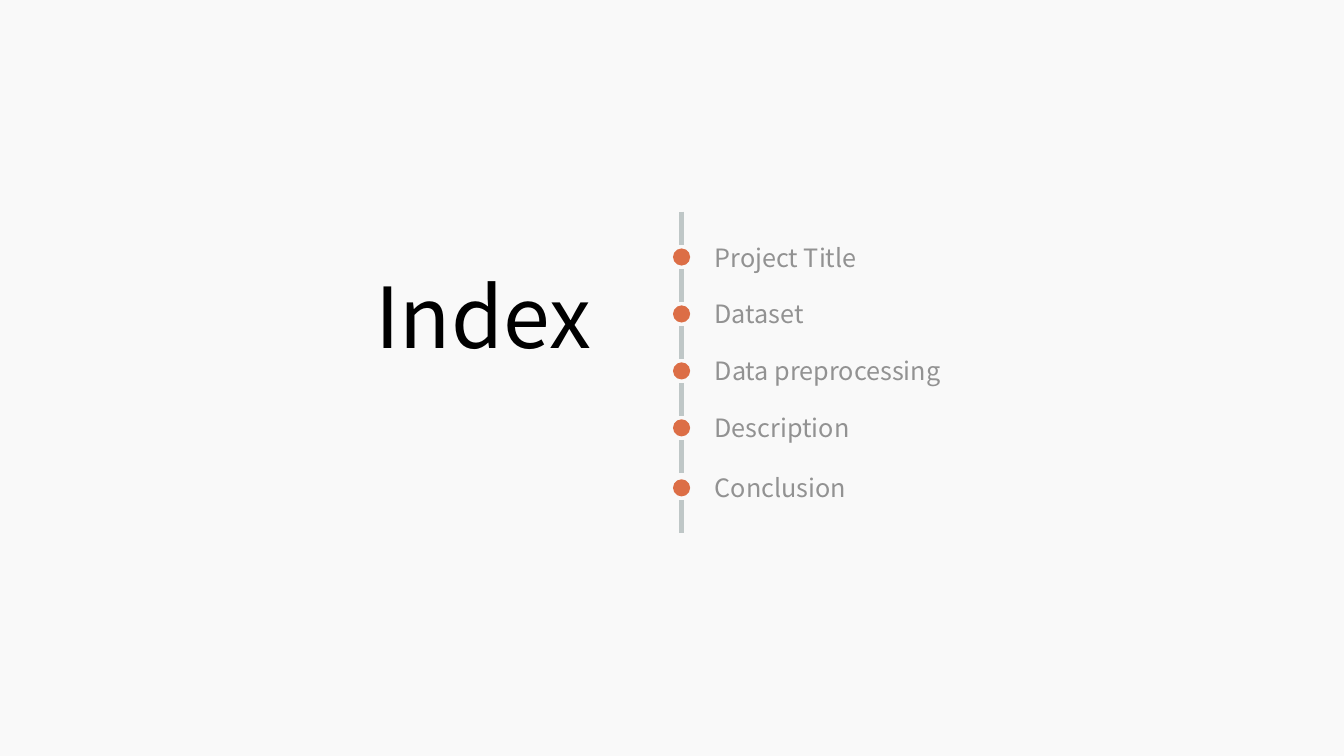
from lxml import etree
from pptx import Presentation
from pptx import util as u
from pptx.dml.color import RGBColor
from pptx.enum import shapes, text
from pptx.oxml import ns

BACKGROUND = RGBColor(0xF9, 0xF9, 0xF9)
ORANGE = RGBColor(0xDC, 0x6E, 0x46)
RAIL_GREY = RGBColor(0xBF, 0xC7, 0xC7)
TOPIC_GREY = RGBColor(0x92, 0x92, 0x92)
BLACK = RGBColor(0, 0, 0)
FONT = "Noto Sans CJK KR"

TOPICS = [
    ("Project Title", 3.95),
    ("Dataset", 1.8),
    ("Data preprocessing", 4.75),
    ("Description", 2.87),
    ("Conclusion", 2.87),
]
RAIL_X = 6.76
TOPIC_X = 6.99
FIRST_ROW = 2.55
ROW_PITCH = 0.565
LAST_ROW_SHIFT = 0.03
DOT_SIZE = 0.17
TOPIC_HEIGHT = 0.4
GAP = 0.12
SEGMENT = 0.33


def row_center(row):
    shift = LAST_ROW_SHIFT if row == len(TOPICS) - 1 else 0
    return FIRST_ROW + row * ROW_PITCH + shift


def add_dot(slide, center):
    dot = slide.shapes.add_shape(
        shapes.MSO_SHAPE.OVAL,
        u.Inches(RAIL_X - DOT_SIZE / 2), u.Inches(center - DOT_SIZE / 2),
        u.Inches(DOT_SIZE), u.Inches(DOT_SIZE))
    dot.shadow.inherit = False
    dot.fill.solid()
    dot.fill.fore_color.rgb = ORANGE
    dot.line.fill.background()


def add_segment(slide, top):
    segment = slide.shapes.add_connector(
        shapes.MSO_CONNECTOR.STRAIGHT,
        u.Inches(RAIL_X), u.Inches(top),
        u.Inches(RAIL_X), u.Inches(top + SEGMENT))
    segment.line.color.rgb = RAIL_GREY
    segment.line.width = u.Pt(3)
    etree.SubElement(segment.element.spPr, ns.qn("a:effectLst"))


def add_label(slide, wording, left, top, width, height, size, color,
              align=text.PP_ALIGN.LEFT):
    label = slide.shapes.add_textbox(
        u.Inches(left), u.Inches(top), u.Inches(width), u.Inches(height))
    frame = label.text_frame
    frame.word_wrap = True
    frame.auto_size = text.MSO_AUTO_SIZE.SHAPE_TO_FIT_TEXT
    paragraph = frame.paragraphs[0]
    paragraph.text = wording
    paragraph.alignment = align
    paragraph.font.name = FONT
    paragraph.font.size = u.Pt(size)
    paragraph.font.color.rgb = color


def main():
    deck = Presentation()
    deck.slide_width = u.Inches(13.33)
    deck.slide_height = u.Inches(7.5)
    slide = deck.slides.add_slide(deck.slide_layouts[6])
    slide.background.fill.solid()
    slide.background.fill.fore_color.rgb = BACKGROUND

    add_label(slide, "Index", 2.9, 2.57, 3.06, 1.11, 60, BLACK,
              text.PP_ALIGN.RIGHT)
    add_segment(slide, FIRST_ROW - GAP - SEGMENT)
    for row, (topic, width) in enumerate(TOPICS):
        center = row_center(row)
        add_segment(slide, center + GAP)
        add_dot(slide, center)
        add_label(slide, topic, TOPIC_X, center - TOPIC_HEIGHT / 2,
                  width, TOPIC_HEIGHT, 18, TOPIC_GREY)

    deck.save("out.pptx")


if __name__ == "__main__":
    main()
